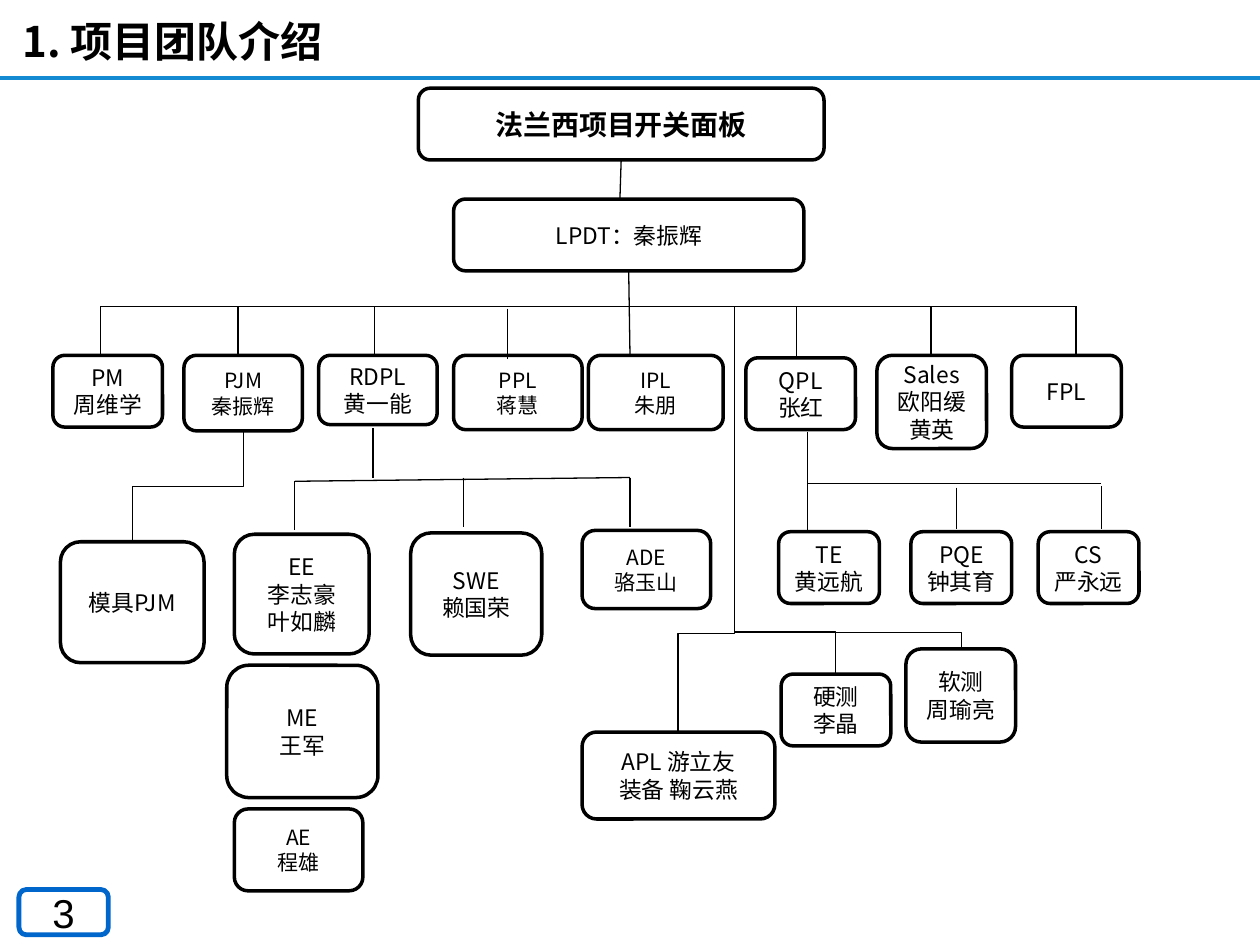
"""Build the project team chart slide."""
from dataclasses import dataclass

from lxml import etree
from pptx import Presentation
from pptx.dml.color import RGBColor
from pptx.enum.shapes import MSO_CONNECTOR, MSO_SHAPE
from pptx.enum.text import MSO_ANCHOR, PP_ALIGN
from pptx.oxml.ns import qn
from pptx.util import Emu, Pt

PX = 9144
ROUND = MSO_SHAPE.ROUNDED_RECTANGLE
LINE, ELBOW = MSO_CONNECTOR.STRAIGHT, MSO_CONNECTOR.ELBOW
LEFT, MID = PP_ALIGN.LEFT, PP_ALIGN.CENTER
CENTER = MSO_ANCHOR.MIDDLE


@dataclass(frozen=True)
class Theme:
    """Colours, fonts and sizes in points."""
    ink: str = "000000"
    paper: str = "FFFFFF"
    rule: str = "148AD2"
    badge: str = "0066CC"
    font: str = "Noto Sans CJK SC"
    digit: str = "Arial"
    title: int = 24
    page: int = 23
    head: int = 16
    body: int = 13
    small: int = 12
    edge: float = 2
    bold_edge: float = 2.75
    thin: float = 0.75


T = Theme()


@dataclass(frozen=True)
class Box:
    """A rounded box with its lines of text."""
    x: int
    y: int
    w: int
    h: int
    text: str
    size: int = T.body
    bold: bool = False
    font: str = T.font
    line: str = T.ink
    edge: float = T.edge


@dataclass(frozen=True)
class Wire:
    """A straight line between two points."""
    x1: int
    y1: int
    x2: int
    y2: int
    line: str = T.ink
    edge: float = T.thin


@dataclass(frozen=True)
class Bend:
    """A line that goes down, across at a given height, and down."""
    x1: int
    y1: int
    x2: int
    y2: int
    turn: int


BOXES = [
    Box(15, 706, 71, 36, "3", T.page, font=T.digit, line=T.badge, edge=T.bold_edge),
    Box(332, 70, 322, 57, "法兰西项目开关面板", T.head, True),
    Box(360, 158, 278, 57, "LPDT：秦振辉"),
    Box(42, 282, 87, 57, "PM\n周维学"),
    Box(146, 282, 94, 60, "PJM\n秦振辉", T.small),
    Box(253, 282, 94, 55, "RDPL\n黄一能"),
    Box(360, 282, 102, 59, "PPL\n蒋慧", T.small),
    Box(467, 282, 107, 59, "IPL\n朱朋", T.small),
    Box(592, 284, 87, 57, "QPL\n张红"),
    Box(696, 282, 87, 74, "Sales\n欧阳缓\n黄英"),
    Box(803, 282, 87, 57, "FPL"),
    Box(48, 430, 114, 96, "模具PJM"),
    Box(186, 424, 107, 95, "EE\n李志豪\n叶如麟"),
    Box(180, 528, 120, 105, "ME\n王军"),
    Box(186, 642, 102, 65, "AE\n程雄", T.small),
    Box(326, 423, 104, 97, "SWE\n赖国荣"),
    Box(462, 421, 102, 62, "ADE\n骆玉山", T.small),
    Box(618, 422, 80, 57, "TE\n黄远航"),
    Box(723, 422, 80, 57, "PQE\n钟其育"),
    Box(824, 422, 80, 57, "CS\n严永远"),
    Box(620, 535, 87, 57, "硬测\n李晶"),
    Box(719, 515, 87, 74, "软测\n周瑜亮"),
    Box(462, 581, 153, 69, "APL 游立友\n装备 鞠云燕"),
]

DROPS = [
    (80, 243, 282), (189, 243, 282), (297, 243, 282), (403, 245, 285),
    (632, 244, 283), (739, 243, 282), (854, 243, 282),
    (296, 340, 379), (234, 382, 421), (368, 379, 418), (500, 379, 418),
    (641, 343, 382), (641, 375, 421), (759, 387, 420), (874, 386, 420),
]

WIRES = [
    Wire(0, 62, 1000, 62, T.rule, T.edge),
    Wire(493, 127, 492, 159),
    Wire(499, 216, 500, 282),
    Wire(80, 243, 854, 243),
    Wire(234, 382, 500, 379),
    Wire(641, 384, 874, 384),
] + [Wire(x, top, x, end) for x, top, end in DROPS]

BENDS = [
    Bend(193, 342, 105, 430, 386),
    Bend(583, 244, 538, 580, 503),
    Bend(583, 245, 663, 535, 501),
    Bend(583, 244, 763, 515, 502),
]


def px(*vals: float) -> list[Emu]:
    """Turn lengths in px into EMU."""
    return [Emu(round(v * PX)) for v in vals]


def write(frame, text: str, size: int, bold: bool, font: str, align) -> None:
    """Fill a text frame, one paragraph a line."""
    frame.word_wrap = False
    frame.vertical_anchor = CENTER
    frame.text = text
    for para in frame.paragraphs:
        para.alignment = align
        face = para.font
        face.size, face.bold, face.name = Pt(size), bold, font
        face.color.rgb = RGBColor.from_string(T.ink)
        etree.SubElement(face._element, qn("a:ea")).set("typeface", font)


def draw_box(slide, box: Box) -> None:
    """Draw a rounded box."""
    shape = slide.shapes.add_shape(ROUND, *px(box.x, box.y, box.w, box.h))
    shape.shadow.inherit = False
    shape.fill.solid()
    shape.fill.fore_color.rgb = RGBColor.from_string(T.paper)
    shape.line.color.rgb = RGBColor.from_string(box.line)
    shape.line.width = Pt(box.edge)
    write(shape.text_frame, box.text, box.size, box.bold, box.font, MID)


def link(slide, kind, ends: list[Emu], line: str, edge: float):
    """Add a connector without shadow and return its properties."""
    wire = slide.shapes.add_connector(kind, *ends)
    wire.line.color.rgb = RGBColor.from_string(line)
    wire.line.width = Pt(edge)
    props = wire._element.spPr
    etree.SubElement(props, qn("a:effectLst"))
    return props


def draw_wire(slide, wire: Wire) -> None:
    """Draw a straight line."""
    ends = px(wire.x1, wire.y1, wire.x2, wire.y2)
    link(slide, LINE, ends, wire.line, wire.edge)


def draw_bend(slide, bend: Bend) -> None:
    """Draw an elbow turned to leave its start downwards."""
    mid_x, mid_y = (bend.x1 + bend.x2) / 2, (bend.y1 + bend.y2) / 2
    long, wide = (bend.y2 - bend.y1) / 2, abs(bend.x2 - bend.x1) / 2
    ends = px(mid_x - long, mid_y - wide, mid_x + long, mid_y + wide)
    props = link(slide, ELBOW, ends, T.ink, T.thin)
    frame = props.find(qn("a:xfrm"))
    right = bend.x2 > bend.x1
    frame.set("rot", str((270 if right else 90) * 60000))
    if right:
        frame.set("flipH", "1")
    part = round((bend.turn - bend.y1) / (bend.y2 - bend.y1) * 100000)
    guide = etree.SubElement(props.find(".//" + qn("a:avLst")), qn("a:gd"))
    guide.set("name", "adj1")
    guide.set("fmla", f"val {part}")


def main() -> None:
    """Build and save the slide."""
    deck = Presentation()
    deck.slide_width, deck.slide_height = px(1000, 750)
    slide = deck.slides.add_slide(deck.slide_layouts[6])
    title = slide.shapes.add_textbox(*px(8, 7, 501, 51))
    write(title.text_frame, "1. 项目团队介绍", T.title, True, T.font, LEFT)
    for box in BOXES:
        draw_box(slide, box)
    for wire in WIRES:
        draw_wire(slide, wire)
    for bend in BENDS:
        draw_bend(slide, bend)
    deck.save("out.pptx")


if __name__ == "__main__":
    main()
